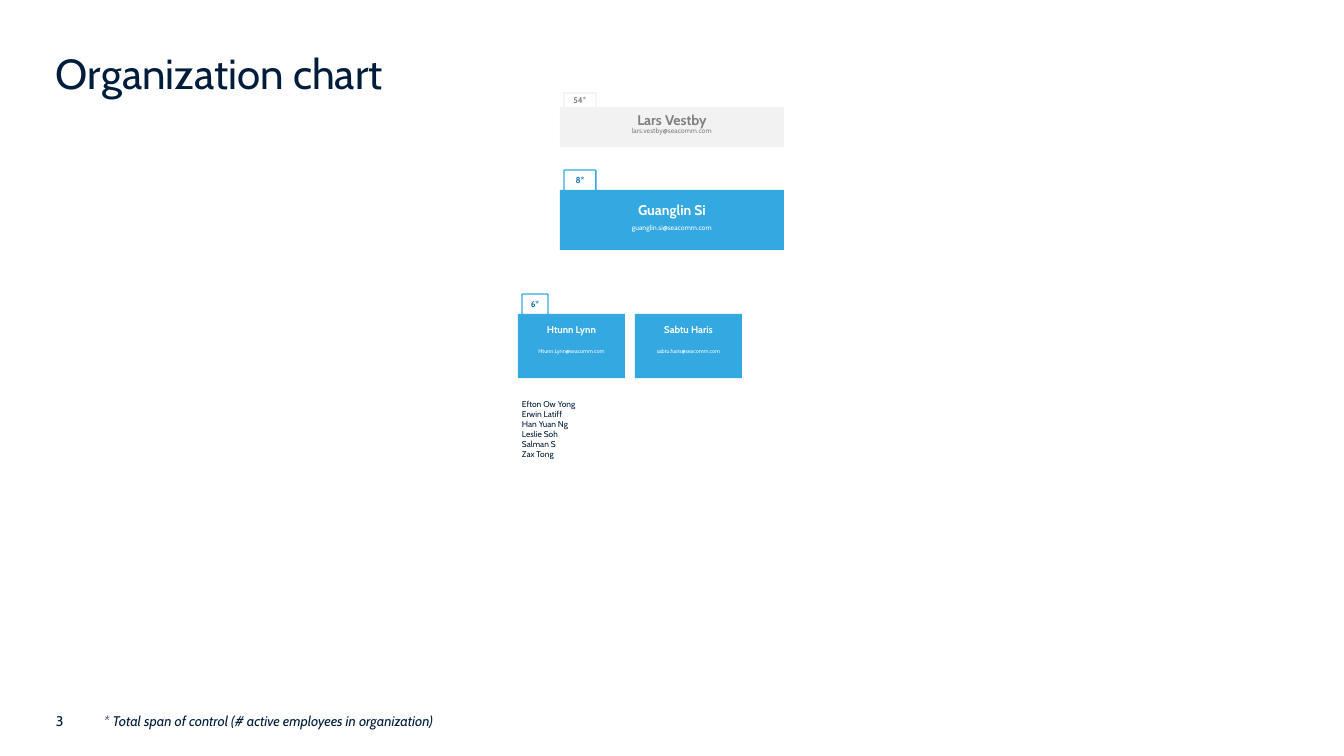
from pptx import Presentation
from pptx.dml.color import RGBColor
from pptx.enum.shapes import MSO_SHAPE
from pptx.enum.text import MSO_ANCHOR, PP_ALIGN
from pptx.util import Pt

SLIDE_WIDTH = 12192000
NAVY, BLUE, DARK_BLUE = "001C3B", "34A9E1", "0068AF"
LIGHT_GREY, GREY, WHITE = "F2F2F2", "808080", "FFFFFF"
TOP, MIDDLE, BOTTOM = MSO_ANCHOR.TOP, MSO_ANCHOR.MIDDLE, MSO_ANCHOR.BOTTOM

hex_color = RGBColor.from_string


def px(length):
    """Turn pixels, 1344 to the slide width, into EMU."""
    return round(length * SLIDE_WIDTH / 1344)


def write(shape, lines, size, color, anchor=TOP, align=PP_ALIGN.LEFT, margins=(0, 0),
          bold=False, italic=False, wrap=True, spacing=None):
    frame = shape.text_frame
    frame.word_wrap = wrap
    frame.vertical_anchor = anchor
    frame.margin_left, frame.margin_right = map(px, margins)
    frame.margin_top = frame.margin_bottom = 0
    for index, line in enumerate(lines):
        paragraph = frame.add_paragraph() if index else frame.paragraphs[0]
        paragraph.alignment = align
        paragraph.line_spacing = spacing
        run = paragraph.add_run()
        run.text = line
        run.font.name = "Cabin"
        run.font.size = Pt(size)
        run.font.bold = bold
        run.font.italic = italic
        run.font.color.rgb = hex_color(color)


presentation = Presentation()
presentation.slide_width = SLIDE_WIDTH
presentation.slide_height = px(756)
slide = presentation.slides.add_slide(presentation.slide_layouts[6])
shapes = slide.shapes

title = shapes.add_textbox(px(56), px(54), px(1230), px(45))
write(title, ["Organization chart"], 30, NAVY, BOTTOM, spacing=0.9)

page_number = shapes.add_textbox(px(56), px(713), px(28), px(17))
write(page_number, ["3"], 10, NAVY, wrap=False)

# Card sizes: width, name size, e-mail size, name anchor, name line spacing
LEADER = (224, 10, 5, BOTTOM, Pt(10))
MEMBER = (107, 7, 4, MIDDLE, None)

# left, top, height, name height, e-mail top and height, size, fill, text colour,
# name, e-mail, and the tab: label, width, height, colour
cards = [
    (560, 190, 60, 28, 29, 17, LEADER, BLUE, WHITE,
     "Guanglin Si", "guanglin.si@seacomm.com", ("8*", 32, 21, DARK_BLUE)),
    (635, 314, 64, 31, 29, 17, MEMBER, BLUE, WHITE,
     "Sabtu Haris", "sabtu.haris@seacomm.com", None),
    (518, 314, 64, 31, 29, 17, MEMBER, BLUE, WHITE,
     "Htunn Lynn", "Htunn.Lynn@seacomm.com", ("6*", 26, 21, DARK_BLUE)),
    (560, 107, 40, 21, 18, 12, LEADER, LIGHT_GREY, GREY,
     "Lars Vestby", "lars.vestby@seacomm.com", ("54*", 32, 15, GREY)),
]
for (left, top, height, name_height, email_offset, email_height, card_size,
     fill, text_color, name, email, tab) in cards:
    width, name_size, email_size, name_anchor, name_spacing = card_size

    if tab:
        label, tab_width, tab_height, tab_color = tab
        tab_shape = shapes.add_shape(MSO_SHAPE.ROUNDED_RECTANGLE, px(left + 4),
                                     px(top - tab_height + 1), px(tab_width), px(tab_height))
        tab_shape.shadow.inherit = False
        tab_shape.adjustments[0] = 0.05
        tab_shape.fill.solid()
        tab_shape.fill.fore_color.rgb = hex_color(WHITE)
        tab_shape.line.color.rgb = hex_color(fill)
        tab_shape.line.width = Pt(1)
        write(tab_shape, [label], 6, tab_color, MIDDLE, PP_ALIGN.CENTER, bold=True)

    card = shapes.add_shape(MSO_SHAPE.ROUNDED_RECTANGLE, px(left), px(top), px(width), px(height))
    card.shadow.inherit = False
    card.adjustments[0] = 0
    card.fill.solid()
    card.fill.fore_color.rgb = hex_color(fill)
    card.line.fill.background()

    name_box = shapes.add_textbox(px(left), px(top), px(width), px(name_height))
    write(name_box, [name], name_size, text_color, name_anchor, PP_ALIGN.CENTER,
          (4, 4), bold=True, spacing=name_spacing)
    email_box = shapes.add_textbox(px(left), px(top + email_offset), px(width), px(email_height))
    write(email_box, [email], email_size, text_color, MIDDLE, PP_ALIGN.CENTER, (4, 4))

team = ["Efton Ow Yong", "Erwin Latiff", "Han Yuan Ng", "Leslie Soh", "Salman S", "Zax Tong"]
team_box = shapes.add_textbox(px(518), px(399), px(107), px(232))
write(team_box, team, 6, NAVY, margins=(4, 0))

footnote = shapes.add_textbox(px(104), px(713), px(1000), px(17))
write(footnote, ["* Total span of control (# active employees in organization)"], 10, NAVY,
      italic=True, wrap=False)

presentation.save("out.pptx")
